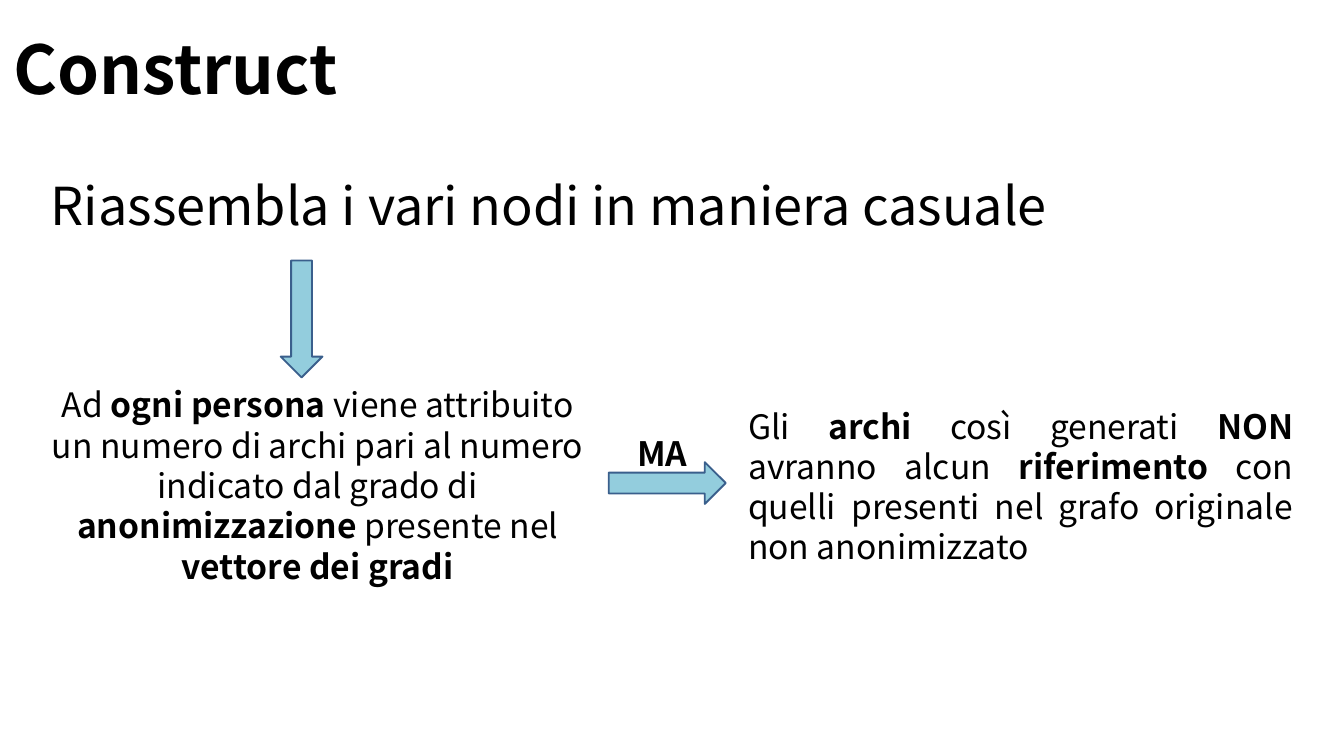
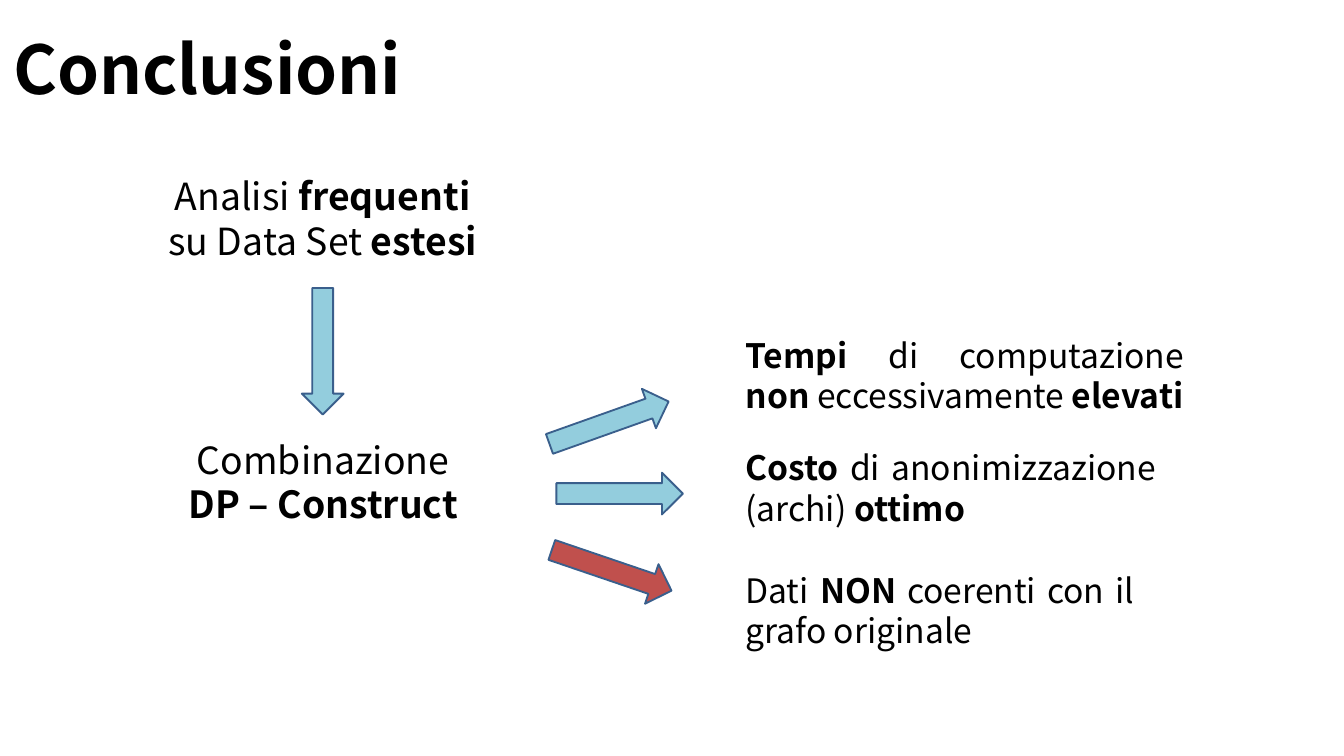
from dataclasses import dataclass

from pptx import Presentation
from pptx.dml.color import RGBColor
from pptx.enum.shapes import MSO_SHAPE as Preset
from pptx.enum.text import MSO_ANCHOR as Anchor, PP_ALIGN as Align
from pptx.util import Cm, Pt

BLACK = RGBColor(0x00, 0x00, 0x00)
LIGHT_BLUE = RGBColor(0x93, 0xCD, 0xDD)
RED = RGBColor(0xC0, 0x50, 0x4D)
OUTLINE = RGBColor(0x3A, 0x5F, 0x8C)

FONT = "Noto Sans CJK KR"
ARROW_THICKNESS = 0.79
DOWN, RIGHT = 270, 180


@dataclass(frozen=True)
class Box:
    """A rectangle in centimetres."""
    left: float
    top: float
    width: float
    height: float

    def inner(self, left, top, width, height):
        """Return a rectangle placed relative to this one."""
        return Box(self.left + left, self.top + top, width, height)

    def lengths(self):
        """Return the four lengths that a shape needs."""
        return [Cm(value) for value in (self.left, self.top, self.width, self.height)]


TITLE_BOX = Box(0, 0.08, 25.4, 2.39)


def apply_format(target, values):
    """Set each attribute of the target from a dict."""
    for name, value in values.items():
        setattr(target, name, value)


def draw_text(slide, box, text, size, align=Align.LEFT, anchor=Anchor.TOP):
    """Write one paragraph in which ** marks switch bold on and off."""
    frame = slide.shapes.add_textbox(*box.lengths()).text_frame
    apply_format(frame, {"word_wrap": True, "vertical_anchor": anchor})
    paragraph = frame.paragraphs[0]
    paragraph.alignment = align
    for line_number, line in enumerate(text.split("\n")):
        if line_number:
            paragraph.add_line_break()
        for part_number, part in enumerate(line.split("**")):
            if part:
                run = paragraph.add_run()
                run.text = part
                apply_format(run.font, {"name": FONT, "size": Pt(size),
                                        "bold": part_number % 2 == 1})
                run.font.color.rgb = BLACK


def draw_arrow(slide, box, center, length, rotation, color=LIGHT_BLUE):
    """Draw a block arrow turned about a centre given relative to the box."""
    place = box.inner(center[0] - length / 2, center[1] - ARROW_THICKNESS / 2,
                      length, ARROW_THICKNESS)
    shape = slide.shapes.add_shape(Preset.LEFT_ARROW, *place.lengths())
    shape.rotation = rotation
    shape.shadow.inherit = False
    shape.fill.solid()
    shape.fill.fore_color.rgb = color
    shape.line.color.rgb = OUTLINE
    shape.line.width = Pt(1)


def add_titled_slide(presentation, title):
    """Add a blank slide with the shared title style."""
    slide = presentation.slides.add_slide(presentation.slide_layouts[6])
    draw_text(slide, TITLE_BOX, f"**{title}**", 36, anchor=Anchor.MIDDLE)
    return slide


def draw_method(slide, box):
    """Draw the main statement, an arrow down and its explanation."""
    draw_text(slide, box.inner(0, 0, 24, 1.6),
              "Riassembla i vari nodi in maniera casuale", 28)
    draw_arrow(slide, box, (4.99, 2.88), 2.21, DOWN)
    draw_text(slide, box.inner(0, 3.99, 10.59, 5),
              "Ad **ogni persona** viene attribuito\n"
              "un numero di archi pari al numero\n"
              "indicato dal grado di\n"
              "**anonimizzazione** presente nel\n"
              "**vettore dei gradi**", 18, Align.CENTER)


def draw_caveat(slide, box):
    """Draw the labelled arrow and the drawback it leads to."""
    draw_arrow(slide, box, (1.1, 1.59), 2.21, RIGHT)
    draw_text(slide, box.inner(0.28, 0.51, 1.73, 1.02), "**MA**", 18, Align.JUSTIFY)
    draw_text(slide, box.inner(2.38, 0, 10.8, 3.33),
              "Gli **archi** così generati **NON** avranno alcun **riferimento** "
              "con quelli presenti nel grafo originale non anonimizzato",
              18, Align.JUSTIFY)


def draw_approach(slide, box):
    """Draw the need, an arrow down and the combination that meets it."""
    draw_text(slide, box.inner(0, 0, 6.4, 2.01),
              "Analisi **frequenti** su Data Set **estesi**", 20, Align.CENTER)
    draw_arrow(slide, box, (3.2, 3.49), 2.39, DOWN)
    draw_text(slide, box.inner(0.4, 4.98, 5.62, 2.01),
              "Combinazione **DP – Construct**", 20, Align.CENTER)


def draw_outcomes(slide, box):
    """Draw a fan of arrows, each with the outcome it points to."""
    outcomes = [
        ("**Tempi** di computazione **non** eccessivamente **elevati**",
         0, 8.79, (1.2, 1.79), 160.4, LIGHT_BLUE),
        ("**Costo** di anonimizzazione (archi) **ottimo**",
         2.13, 8.26, (1.4, 3.13), RIGHT, LIGHT_BLUE),
        ("Dati **NON** coerenti con il grafo originale",
         4.44, 7.85, (1.25, 4.58), 198.8, RED),
    ]
    for text, top, width, center, rotation, color in outcomes:
        draw_arrow(slide, box, center, 2.39, rotation, color)
        draw_text(slide, box.inner(3.53, top, width, 1.9), text, 18, Align.JUSTIFY)


def main():
    """Build and save the two slides."""
    presentation = Presentation()
    apply_format(presentation, {"slide_width": Cm(25.4), "slide_height": Cm(14.29)})

    construct = add_titled_slide(presentation, "Construct")
    draw_method(construct, Box(0.71, 3.15, 24, 9))
    draw_caveat(construct, Box(11.51, 7.54, 13.18, 3.33))

    conclusions = add_titled_slide(presentation, "Conclusioni")
    draw_approach(conclusions, Box(2.9, 3.15, 6.4, 7))
    draw_outcomes(conclusions, Box(10.31, 6.2, 12.32, 6.34))

    presentation.save("out.pptx")


if __name__ == "__main__":
    main()
